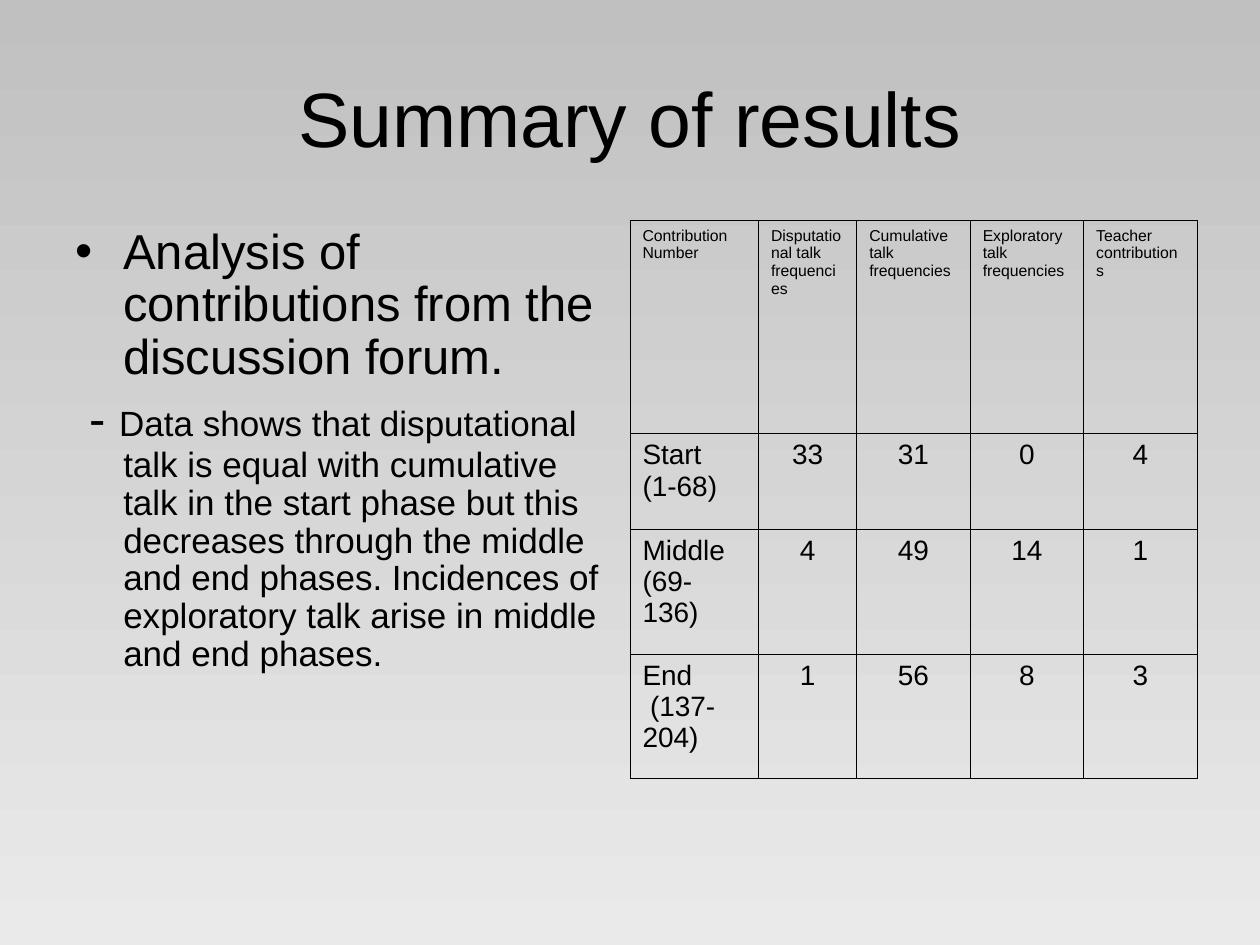
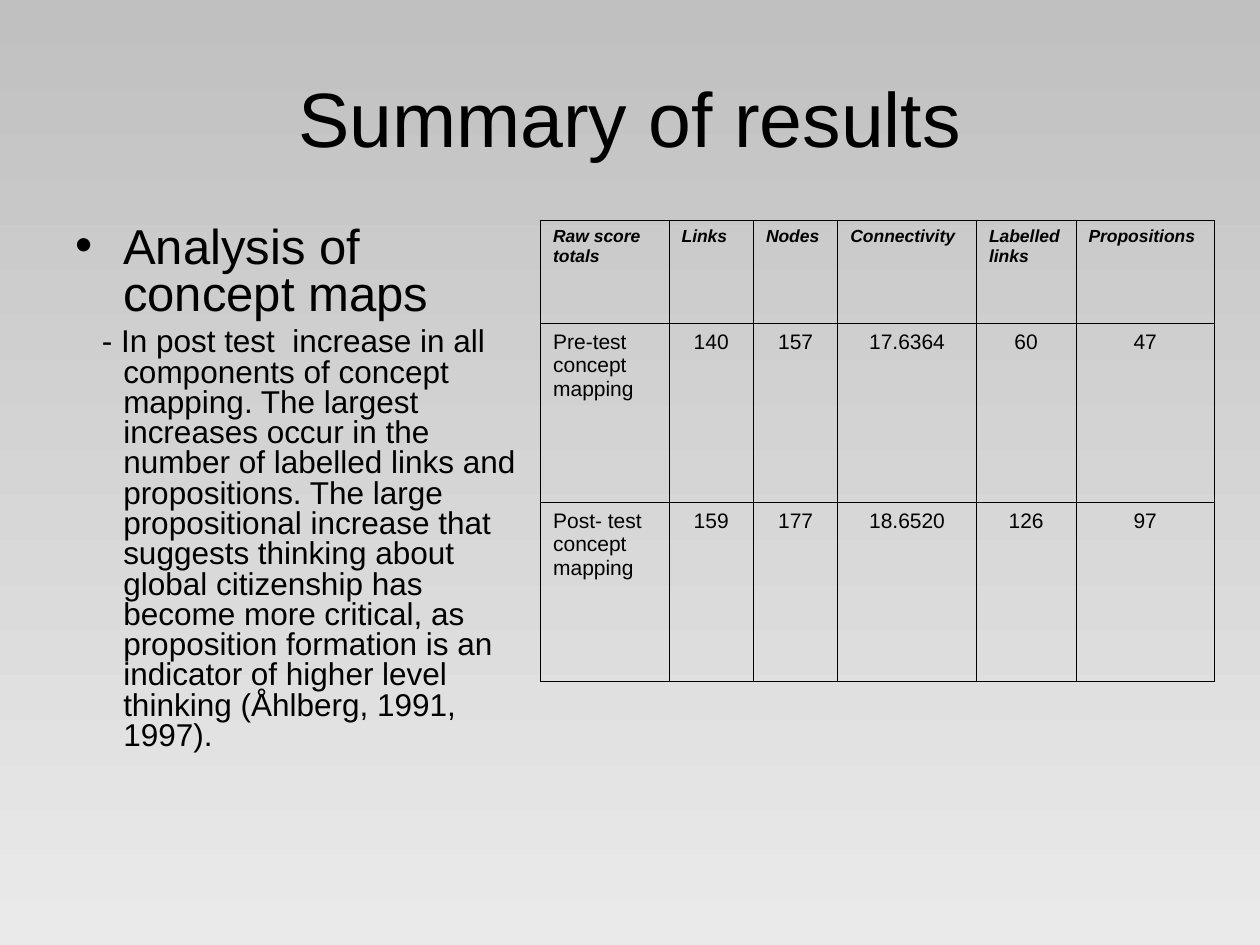
import pptx
import pptx.dml.color
import pptx.enum.text
import pptx.oxml
import pptx.oxml.ns
import pptx.util

Inches = pptx.util.Inches
Pt = pptx.util.Pt
RGBColor = pptx.dml.color.RGBColor
ALIGN = pptx.enum.text.PP_ALIGN
ANCHOR = pptx.enum.text.MSO_ANCHOR

BLACK = RGBColor(0x00, 0x00, 0x00)
SILVER = RGBColor(0xC0, 0xC0, 0xC0)
PALE = RGBColor(0xEA, 0xEA, 0xEA)

NAMESPACE = pptx.oxml.ns.nsdecls("a")
BULLET = (
    f'<a:buClr {NAMESPACE}><a:srgbClr val="{BLACK}"/></a:buClr>',
    f'<a:buFont {NAMESPACE} typeface="Arial"/>',
    f'<a:buChar {NAMESPACE} char="•"/>',
)
EDGES = ("lnL", "lnR", "lnT", "lnB")
EDGE_WIDTH = Pt(0.45)
HANGING = 0.38


def apply(target, formats):
    for name, value in formats.items():
        setattr(target, name, value)


class Deck:
    def __init__(self):
        self.deck = pptx.Presentation()
        apply(self.deck, {"slide_width": Inches(10), "slide_height": Inches(7.5)})
        self.page = None

    def add_page(self, title):
        self.page = self.deck.slides.add_slide(self.deck.slide_layouts[6])
        fill = self.page.background.fill
        fill.gradient()
        fill.gradient_angle = 270
        for stop, color in zip(fill.gradient_stops, (SILVER, PALE)):
            stop.color.rgb = color
        frame = self.add_box(0.5, 0.3, 9, 1.25)
        frame.vertical_anchor = ANCHOR.MIDDLE
        para = frame.paragraphs[0]
        para.alignment = ALIGN.CENTER
        self.add_span(para, title, 44)

    def add_box(self, left, top, width, height):
        box = self.page.shapes.add_textbox(*map(Inches, (left, top, width, height)))
        box.text_frame.word_wrap = True
        return box.text_frame

    def add_span(self, para, text, size, **formats):
        span = para.add_run()
        span.text = text
        apply(span.font, {"name": "Arial", "size": Pt(size), **formats})
        span.font.color.rgb = BLACK

    def indent(self, para, left, first):
        properties = para._p.get_or_add_pPr()
        properties.set("marL", str(Inches(left)))
        properties.set("indent", str(Inches(first)))
        return properties

    def add_finding(self, width, heading, detail, spacing, gap, dash_size, size, dash_indent):
        frame = self.add_box(0.5, 1.75, width, 4.95)
        para = frame.paragraphs[0]
        para.line_spacing = spacing
        properties = self.indent(para, HANGING, -HANGING)
        for element in BULLET:
            properties.append(pptx.oxml.parse_xml(element))
        self.add_span(para, heading, 28)

        para = frame.add_paragraph()
        apply(para, {"line_spacing": spacing, "space_before": Pt(gap)})
        self.indent(para, HANGING, dash_indent)
        self.add_span(para, "- ", dash_size)
        self.add_span(para, detail, size)

    def add_table(self, left, widths, heights, rows, header_format, body_format):
        shape = self.page.shapes.add_table(
            len(rows), len(widths), Inches(left), Inches(1.75),
            Inches(sum(widths)), Inches(sum(heights)))
        table = shape.table
        apply(table, {"first_row": False, "horz_banding": False})
        for column, width in zip(table.columns, widths):
            column.width = Inches(width)
        for row_index, (row, height) in enumerate(zip(rows, heights)):
            table.rows[row_index].height = Inches(height)
            formats = body_format if row_index else header_format
            for column_index, text in enumerate(row):
                centred = row_index and column_index
                self.fill_cell(table.cell(row_index, column_index), text,
                               ALIGN.CENTER if centred else ALIGN.LEFT, formats)
        return table

    def fill_cell(self, cell, text, alignment, formats):
        properties = cell._tc.get_or_add_tcPr()
        for edge in EDGES:
            properties.append(pptx.oxml.parse_xml(
                f'<a:{edge} {NAMESPACE} w="{EDGE_WIDTH}"><a:solidFill>'
                f'<a:srgbClr val="{BLACK}"/></a:solidFill></a:{edge}>'))
        cell.fill.background()
        frame = cell.text_frame
        for index, line in enumerate(text.split("\n")):
            para = frame.add_paragraph() if index else frame.paragraphs[0]
            para.alignment = alignment
            self.add_span(para, line, **formats)


def add_forum_page(deck):
    deck.add_page("Summary of results")
    deck.add_finding(
        4.42, "Analysis of contributions from the discussion forum.",
        "Data shows that disputational talk is equal with cumulative talk in the "
        "start phase but this decreases through the middle and end phases. "
        "Incidences of exploratory talk arise in middle and end phases.",
        spacing=0.9, gap=5, dash_size=28, size=20, dash_indent=-0.27)
    rows = [
        ("Contribution Number", "Disputational talk frequencies",
         "Cumulative\ntalk frequencies", "Exploratory\ntalk frequencies",
         "Teacher contributions"),
        ("Start\n(1-68)", "33", "31", "0", "4"),
        ("Middle\n(69-136)", "4", "49", "14", "1"),
        ("End\n(137-204)", "1", "56", "8", "3"),
    ]
    table = deck.add_table(
        5, (1.02, 0.78, 0.9, 0.9, 0.9), (1.69, 0.76, 0.99, 0.99), rows,
        {"size": 9, "bold": False}, {"size": 16, "bold": False})
    deck.indent(table.cell(3, 0).text_frame.paragraphs[1], 0, 0.06)


def add_concept_map_page(deck):
    deck.add_page("Summary of results")
    deck.add_finding(
        3.71, "Analysis of concept maps",
        "In post test  increase in all components of concept mapping. The largest "
        "increases occur in the number of labelled links and propositions. The large "
        "propositional increase that suggests thinking about global citizenship has "
        "become more critical, as proposition formation is an indicator of higher "
        "level thinking (Åhlberg, 1991, 1997).",
        spacing=0.8, gap=4.5, dash_size=18, size=18, dash_indent=-0.17)
    rows = [
        ("Raw score totals", "Links", "Nodes", "Connectivity", "Labelled links",
         "Propositions"),
        ("Pre-test concept mapping", "140", "157", "17.6364", "60", "47"),
        ("Post- test concept mapping", "159", "177", "18.6520", "126", "97"),
    ]
    deck.add_table(
        4.29, (1.02, 0.67, 0.67, 1.1, 0.79, 1.1), (0.82, 1.42, 1.42), rows,
        {"size": 10, "bold": True, "italic": True}, {"size": 12, "bold": False})


def main():
    deck = Deck()
    add_forum_page(deck)
    add_concept_map_page(deck)
    deck.deck.save("out.pptx")


if __name__ == "__main__":
    main()
